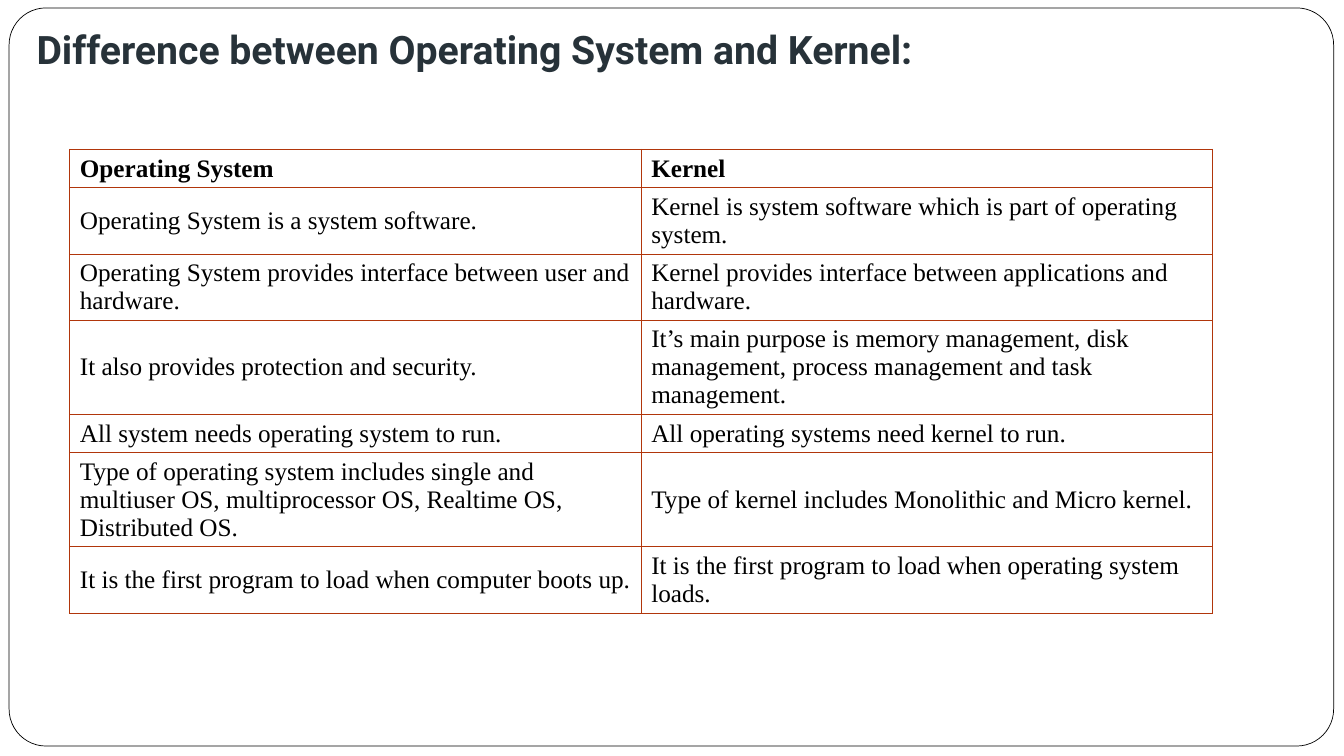
import dataclasses

import lxml.etree
import pptx
import pptx.dml.color
import pptx.enum.shapes
import pptx.enum.text
import pptx.oxml.ns
import pptx.util

Cm = pptx.util.Cm
Pt = pptx.util.Pt
Color = pptx.dml.color.RGBColor


@dataclasses.dataclass(frozen=True)
class Theme:
    """Colours, fonts and type sizes of the slide."""
    paper: Color = Color(0xFF, 0xFF, 0xFF)
    ink: Color = Color(0x00, 0x00, 0x00)
    heading: Color = Color(0x27, 0x32, 0x39)
    rule: str = "B1360B"
    heading_font: str = "Roboto"
    body_font: str = "Times New Roman"
    heading_size: Pt = Pt(28)
    body_size: Pt = Pt(18)
    frame_width: Pt = Pt(0.5)
    rule_width: Pt = Pt(0.75)


THEME = Theme()

TITLE = "Difference between Operating System and Kernel:"
COMPARISON = [
    ("Operating System", "Kernel", 1),
    ("Operating System is a system software.",
     "Kernel is system software which is part of operating system.", 2),
    ("Operating System provides interface between user and hardware.",
     "Kernel provides interface between applications and hardware.", 2),
    ("It also provides protection and security.",
     "It’s main purpose is memory management, disk management, "
     "process management and task management.", 3),
    ("All system needs operating system to run.",
     "All operating systems need kernel to run.", 1),
    ("Type of operating system includes single and multiuser OS, "
     "multiprocessor OS, Realtime OS, Distributed OS.",
     "Type of kernel includes Monolithic and Micro kernel.", 3),
    ("It is the first program to load when computer boots up.",
     "It is the first program to load when operating system loads.", 2),
]


def format_paragraph(para, font, size, color, bold):
    """Align a paragraph left and style its runs."""
    para.alignment = pptx.enum.text.PP_ALIGN.LEFT
    for span in para.runs:
        span.font.name = font
        span.font.size = size
        span.font.color.rgb = color
        span.font.bold = bold


def add_frame(page, box):
    """Put the rounded page frame behind everything else."""
    frame = page.shapes.add_shape(
        pptx.enum.shapes.MSO_SHAPE.ROUNDED_RECTANGLE, *box)
    frame.adjustments[0] = 0.05
    frame.shadow.inherit = False
    frame.fill.solid()
    frame.fill.fore_color.rgb = THEME.paper
    frame.line.color.rgb = THEME.ink
    frame.line.width = THEME.frame_width
    page.shapes.element.insert(2, frame.element)


def set_title(page, box):
    """Fill, place and format the title placeholder."""
    title = page.shapes.title
    title.left, title.top, title.width, title.height = box
    title.fill.solid()
    title.fill.fore_color.rgb = THEME.paper
    text = title.text_frame
    text.text = TITLE
    text.word_wrap = False
    text.auto_size = pptx.enum.text.MSO_AUTO_SIZE.NONE
    text.vertical_anchor = pptx.enum.text.MSO_ANCHOR.MIDDLE
    text.margin_left = text.margin_right = 0
    text.margin_top = text.margin_bottom = 0
    format_paragraph(text.paragraphs[0], THEME.heading_font,
                     THEME.heading_size, THEME.heading, True)


def set_borders(cell):
    """Draw the four borders of a table cell."""
    properties = cell._tc.get_or_add_tcPr()
    qualified = pptx.oxml.ns.qn
    for position, side in enumerate(("a:lnL", "a:lnR", "a:lnT", "a:lnB")):
        line = lxml.etree.Element(qualified(side), w=str(THEME.rule_width))
        fill = lxml.etree.SubElement(line, qualified("a:solidFill"))
        lxml.etree.SubElement(fill, qualified("a:srgbClr"), val=THEME.rule)
        properties.insert(position, line)


def add_comparison(page, box):
    """Add the two-column table with rows as high as their text lines."""
    table = page.shapes.add_table(len(COMPARISON), 2, *box).table
    table.horz_banding = False
    table.first_row = False
    for row_index, (*texts, lines) in enumerate(COMPARISON):
        table.rows[row_index].height = Cm(0.27 + 0.7 * lines)
        for column_index, text in enumerate(texts):
            cell = table.cell(row_index, column_index)
            cell.fill.background()
            cell.vertical_anchor = pptx.enum.text.MSO_ANCHOR.MIDDLE
            cell.text_frame.text = text
            format_paragraph(cell.text_frame.paragraphs[0], THEME.body_font,
                             THEME.body_size, THEME.ink, row_index == 0)
            set_borders(cell)


def build_comparison_slide(deck):
    """Build the slide that compares operating system and kernel."""
    page = deck.slides.add_slide(deck.slide_layouts[5])
    set_title(page, (Cm(0.92), Cm(0.64), Cm(23.88), Cm(1.2)))
    add_frame(page, (Cm(0.23), Cm(0.2), Cm(33.38), Cm(18.6)))
    add_comparison(page, (Cm(1.76), Cm(3.76), Cm(28.8), Cm(11.6)))


def main():
    """Create and save the deck."""
    deck = pptx.Presentation()
    deck.slide_width = Cm(33.87)
    deck.slide_height = Cm(19.05)
    build_comparison_slide(deck)
    deck.save("out.pptx")


if __name__ == "__main__":
    main()
